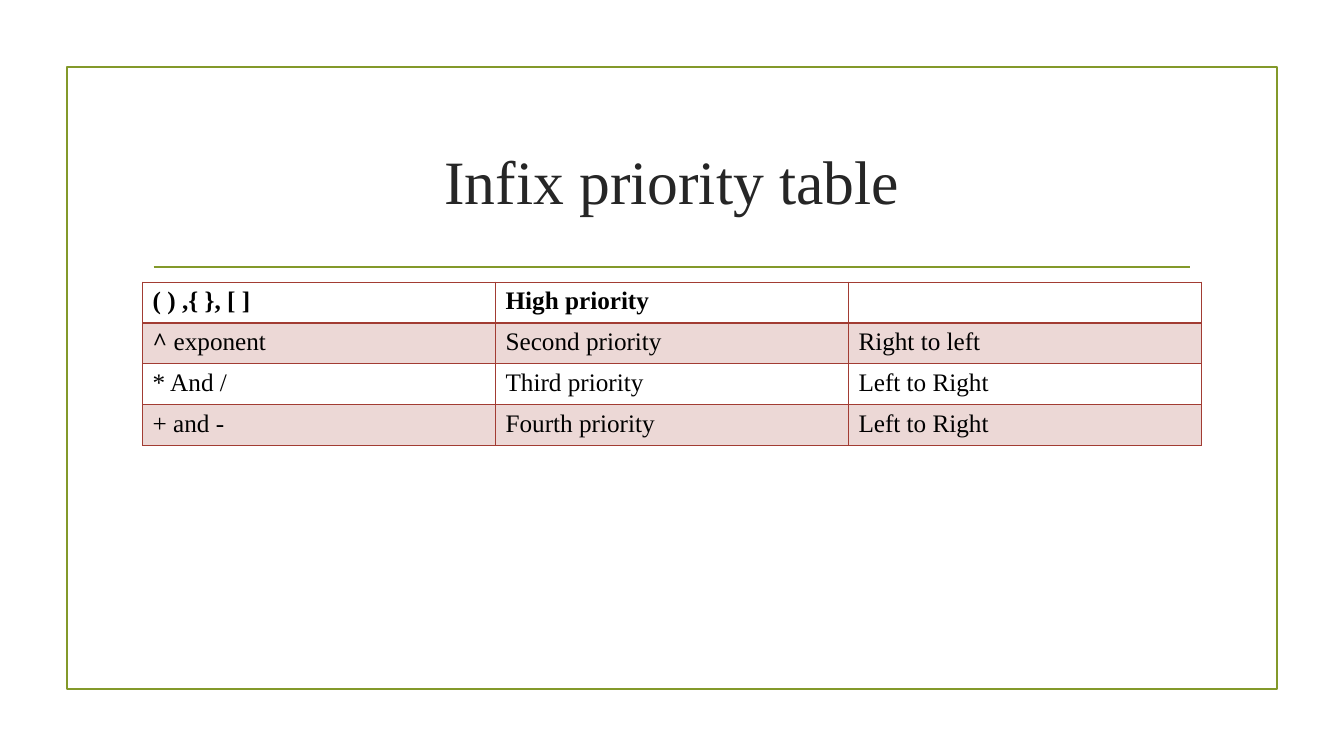
"""Build the infix priority table slide."""
from lxml.etree import SubElement
from pptx import Presentation
from pptx.dml.color import RGBColor
from pptx.enum.shapes import MSO_CONNECTOR, MSO_SHAPE
from pptx.enum.text import MSO_ANCHOR, PP_ALIGN
from pptx.oxml.ns import qn
from pptx.util import Inches, Pt

TITLE = "Infix priority table"
ROWS = [
    ("( ) ,{ }, [ ]", "High priority", ""),
    ("^ exponent", "Second priority", "Right to left"),
    ("* And /", "Third priority", "Left to Right"),
    ("+ and -", "Fourth priority", "Left to Right"),
]
BOLD_SYMBOL = "^"
FONT = "Times New Roman"
COLORS = {"olive": "83992A", "title": "262626", "text": "000000",
          "border": "A23C33", "band": "ECD8D6"}

SLIDE_WIDTH, SLIDE_HEIGHT = 13.33, 7.5
FRAME_WIDTH, FRAME_HEIGHT = 12, 6.17
CONTENT_WIDTH, RULE_WIDTH = 10.5, 10.28
CONTENT_LEFT = (SLIDE_WIDTH - CONTENT_WIDTH) / 2
TITLE_TOP, TITLE_HEIGHT = 1.07, 1.43
RULE_TOP, TABLE_TOP, ROW_HEIGHT = 2.65, 2.8, 0.405


def color(name):
    return RGBColor.from_string(COLORS[name])


def style_font(font, size, name, bold=False):
    font.name, font.size, font.bold = FONT, Pt(size), bold
    font.color.rgb = color(name)


def style_line(line):
    line.color.rgb = color("olive")
    line.width = Pt(1.25)


def add_border(cell, side, points):
    properties = cell._tc.get_or_add_tcPr()
    border = SubElement(properties, qn(f"a:ln{side}"), w=str(Pt(points)))
    fill = SubElement(border, qn("a:solidFill"))
    SubElement(fill, qn("a:srgbClr"), val=COLORS["border"])


def add_frame(slide):
    left, top = (SLIDE_WIDTH - FRAME_WIDTH) / 2, (SLIDE_HEIGHT - FRAME_HEIGHT) / 2
    frame = slide.shapes.add_shape(MSO_SHAPE.RECTANGLE, Inches(left), Inches(top),
                                   Inches(FRAME_WIDTH), Inches(FRAME_HEIGHT))
    frame.shadow.inherit = False
    frame.fill.background()
    style_line(frame.line)


def add_rule(slide):
    left = (SLIDE_WIDTH - RULE_WIDTH) / 2
    rule = slide.shapes.add_connector(MSO_CONNECTOR.STRAIGHT, Inches(left), Inches(RULE_TOP),
                                      Inches(left + RULE_WIDTH), Inches(RULE_TOP))
    style_line(rule.line)
    SubElement(rule._element.spPr, qn("a:effectLst"))


def add_title(slide):
    box = slide.shapes.add_textbox(Inches(CONTENT_LEFT), Inches(TITLE_TOP),
                                   Inches(CONTENT_WIDTH), Inches(TITLE_HEIGHT))
    box.text_frame.word_wrap = True
    box.text_frame.vertical_anchor = MSO_ANCHOR.MIDDLE
    box.text_frame.text = TITLE
    paragraph = box.text_frame.paragraphs[0]
    paragraph.alignment = PP_ALIGN.CENTER
    style_font(paragraph.runs[0].font, 44, "title")


def fill_cell(cell, text, row):
    paragraph = cell.text_frame.paragraphs[0]
    rest = text.removeprefix(BOLD_SYMBOL)
    parts = [(text[:len(text) - len(rest)], True), (rest, row == 0)]
    for part, bold in parts:
        if part:
            run = paragraph.add_run()
            run.text = part
            style_font(run.font, 18, "text", bold)
    for side in "LRTB":
        under_header = (row, side) in ((0, "B"), (1, "T"))
        add_border(cell, side, 2 if under_header else 1)
    if row % 2:
        cell.fill.solid()
        cell.fill.fore_color.rgb = color("band")
    else:
        cell.fill.background()


def add_priority_table(slide):
    table = slide.shapes.add_table(len(ROWS), len(ROWS[0]), Inches(CONTENT_LEFT),
                                   Inches(TABLE_TOP), Inches(CONTENT_WIDTH),
                                   Inches(ROW_HEIGHT * len(ROWS))).table
    for row, texts in enumerate(ROWS):
        for column, text in enumerate(texts):
            fill_cell(table.cell(row, column), text, row)


def main():
    presentation = Presentation()
    presentation.slide_width = Inches(SLIDE_WIDTH)
    presentation.slide_height = Inches(SLIDE_HEIGHT)
    slide = presentation.slides.add_slide(presentation.slide_layouts[6])
    add_frame(slide)
    add_rule(slide)
    add_title(slide)
    add_priority_table(slide)
    presentation.save("out.pptx")


if __name__ == "__main__":
    main()
